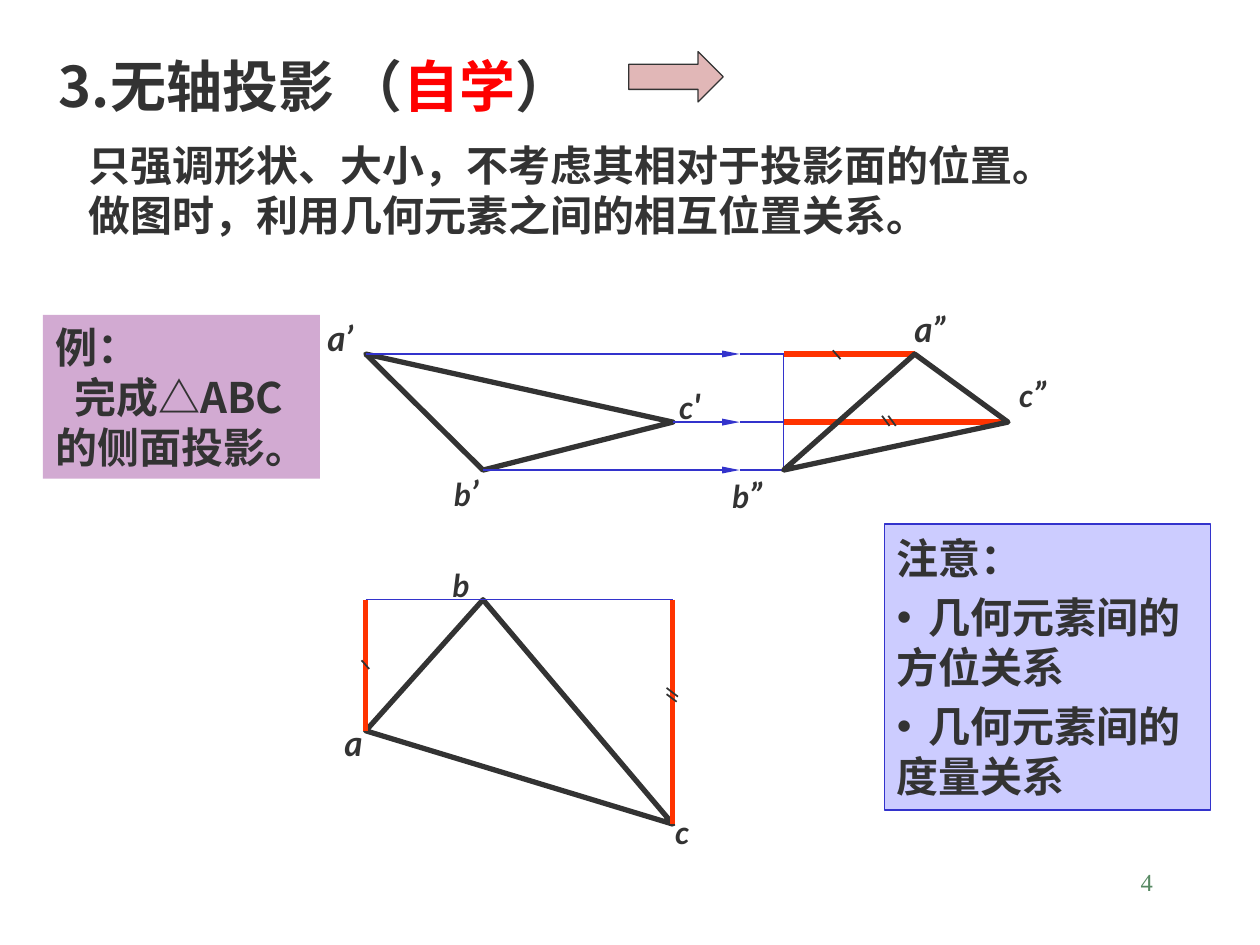
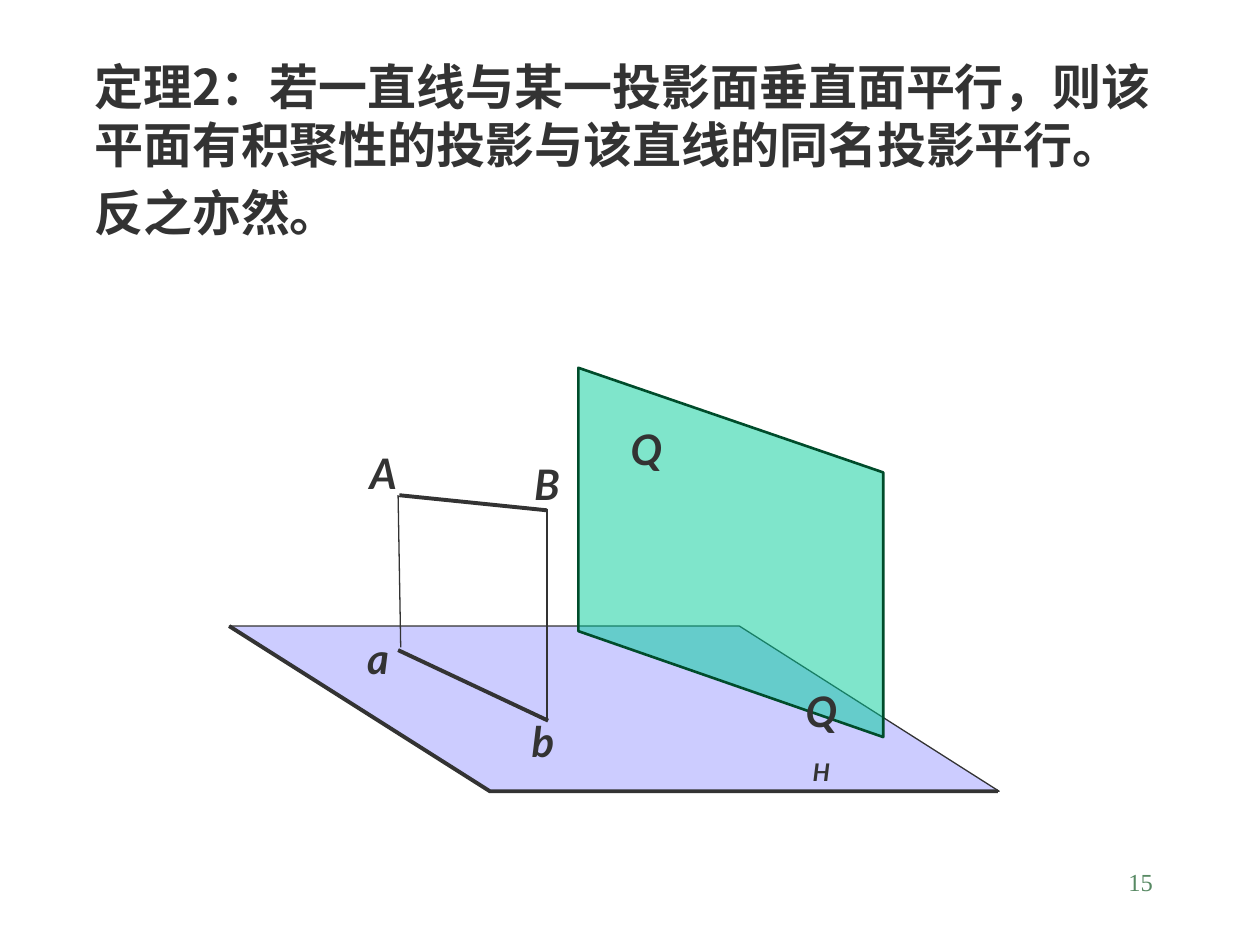
from lxml import etree
from pptx import Presentation
from pptx.dml.color import RGBColor
from pptx.enum import shapes, text
from pptx.oxml import ns
from pptx.util import Pt

# Shared look
INK, BLUE, RED, LILAC = "333333", "3333CC", "FF3300", "CCCCFF"
HAN, LATIN, SERIF = "Noto Sans CJK SC", "Lato", "Times New Roman"
LEAD = 1.19  # line pitch as a share of the text size
LEFT, MID, RIGHT = text.PP_ALIGN.LEFT, text.PP_ALIGN.CENTER, text.PP_ALIGN.RIGHT


def color(code):
    return RGBColor.from_string(code)


def child(node, tag, **attrs):
    return etree.SubElement(node, ns.qn(tag), attrs)


def style(run, size, tint=INK, face=HAN, bold=True, slant=False):
    font = run.font
    font.size, font.bold, font.italic = Pt(size), bold, slant
    font.color.rgb = color(tint)
    font.name = face
    child(run._r.get_or_add_rPr(), "a:ea", typeface=face)


def paint(shape, fill=None, line=None, width=0.75, alpha=None):
    shape.shadow.inherit = False
    if fill:
        shape.fill.solid()
        shape.fill.fore_color.rgb = color(fill)
        if alpha:
            tone = shape.fill._xPr.find(ns.qn("a:solidFill"))[0]
            child(tone, "a:alpha", val=str(alpha * 1000))
    else:
        shape.fill.background()
    if line:
        shape.line.color.rgb = color(line)
        shape.line.width = Pt(width)
    else:
        shape.line.fill.background()


def block(slide, kind, box, **look):
    shape = slide.shapes.add_shape(kind, *map(Pt, box))
    paint(shape, **look)
    return shape


def area(slide, box):
    return slide.shapes.add_textbox(*map(Pt, box))


def write(shape, paras, wrap=True):
    """Each paragraph is (runs, size, space before, indent, bullet)."""
    frame = shape.text_frame
    frame.word_wrap = wrap
    frame.vertical_anchor = text.MSO_ANCHOR.MIDDLE
    for i, (runs, size, gap, inset, bullet) in enumerate(paras):
        para = frame.add_paragraph() if i else frame.paragraphs[0]
        para.alignment = LEFT
        para.line_spacing = Pt(size * LEAD)
        if gap:
            para.space_before = Pt(gap)
        props = para._p.get_or_add_pPr()
        if inset:
            props.set("marL", str(Pt(inset)))
        if bullet:
            props.set("indent", str(-Pt(inset)))
            child(props, "a:buFont", typeface="Arial")
            child(props, "a:buChar", char="•")
        for words, tint in runs:
            run = para.add_run()
            run.text = words
            style(run, size, tint)


def plain(words, size=24, gap=0, inset=0, bullet=False):
    return [(words, INK)], size, gap, inset, bullet


def label(slide, x, y, parts, width=60, wrap=False):
    """Centre an italic label on a point; parts are (text, size, baseline)."""
    frame = area(slide, (x - width / 2, y - 18, width, 36)).text_frame
    frame.word_wrap = wrap
    frame.vertical_anchor = text.MSO_ANCHOR.MIDDLE
    para = frame.paragraphs[0]
    para.alignment = MID
    for words, size, base in parts:
        run = para.add_run()
        run.text = words
        style(run, size, face=LATIN, slant=True)
        if base:
            run._r.get_or_add_rPr().set("baseline", str(base * 1000))


def stroke(slide, start, end, tint=INK, width=0.75, head=False):
    line = slide.shapes.add_connector(
        shapes.MSO_CONNECTOR.STRAIGHT, *map(Pt, (*start, *end)))
    line.line.color.rgb = color(tint)
    line.line.width = Pt(width)
    if head:
        child(line.line._get_or_add_ln(), "a:tailEnd",
              type="triangle", w="sm", len="lg")
    child(line._element.spPr, "a:effectLst")


def outline(slide, points, close=True, **look):
    first, *rest = [(Pt(x), Pt(y)) for x, y in points]
    path = slide.shapes.build_freeform(*first)
    path.add_line_segments(rest, close=close)
    paint(path.convert_to_shape(), **look)


def number(slide, page):
    para = area(slide, (516, 492, 150, 36)).text_frame.paragraphs[0]
    para.text = page
    para.alignment = RIGHT
    style(para.runs[0], 14, "578963", SERIF, bold=False)


def views(slide):
    # Front view and top view share x; the side view takes its depths from the top
    ax, bx, cx = 209, 276, 384.5
    az, bz, cz = 202.3, 268.6, 241.2
    ay, by, cy = 417.6, 342.7, 470.9
    side, mid = 447.8, 422.6
    aw, cw = side + ay - by, side + cy - by

    # Triangles in front and top view
    outline(slide, [(bx, bz), (ax, az), (cx, cz)], line=INK, width=3)
    outline(slide, [(ax, ay), (bx, by), (cx, cy)], line=INK, width=3)

    # Projection lines
    stroke(slide, (ax, by), (cx, by), BLUE)
    for x, z, end in ((ax, az, aw), (cx, cz, cw), (bx, bz, side)):
        stroke(slide, (mid, z), (end, z), BLUE)
        stroke(slide, (x, z), (mid, z), BLUE, head=True)
    stroke(slide, (side, az), (side, bz), BLUE)

    # Equal depths
    for start, end in (((aw, az), (side, az)), ((cw, cz), (side, cz)),
                       ((ax, by), (ax, ay)), ((cx, by), (cx, cy))):
        stroke(slide, start, end, RED, 3)
    outline(slide, [(cw, cz), (aw, az), (side, bz)], line=INK, width=3)
    for x, y, dx, dy in ((206.6, 377.3, 4.4, 5), (475.9, 200.2, 4.4, 5),
                         (380.9, 393.1, 6.5, 5), (380.9, 396.7, 5.8, 4.3),
                         (504, 237.6, 4.3, 5.8), (507.6, 237.6, 4.3, 5.8)):
        stroke(slide, (x, y), (x + dx, y + dy), width=1)

    # Point names
    for x, y, name, mark in (
            (194.4, 192.6, "a", "’"), (266.4, 281.2, "b", "’"),
            (394.2, 231.5, "c", "'"), (531.4, 187.6, "a", "”"),
            (427, 282.6, "b", "”"), (590, 225, "c", "”"),
            (202, 424.4, "a", ""), (263.5, 334.1, "b", ""),
            (389.9, 475.2, "c", "")):
        parts = [(name, 20 if name == "a" else 18, 0)]
        if mark:
            parts.append((mark, 20, 0))
        label(slide, x, y, parts)


def axes(slide):
    number(slide, "4")
    title = [("3.无轴投影 （", INK), ("自学", "FF0000"), ("）", INK)]
    write(area(slide, (26.6, 25.2, 693.4, 116.6)), [
        (title, 32, 0, 0, False),
        plain("只强调形状、大小，不考虑其相对于投影面的位置。", gap=12, inset=17),
        plain("做图时，利用几何元素之间的相互位置关系。", inset=17)])
    views(slide)

    # Coloured notes
    box = shapes.MSO_SHAPE.RECTANGLE
    note = block(slide, box, (505.4, 299.5, 186.5, 163.4), fill=LILAC, line=BLUE)
    lines = [plain("注意：")]
    for kind in ("方位关系", "度量关系"):
        lines += [plain("几何元素间的", gap=5, inset=18, bullet=True), plain(kind)]
    write(note, lines)
    task = block(slide, box, (24.5, 180, 158.4, 93.6), fill="D2AAD2")
    write(task, [plain("例："), plain("完成△ABC", inset=11),
                 plain("的侧面投影。")], wrap=False)
    block(slide, shapes.MSO_SHAPE.RIGHT_ARROW, (359.3, 29.5, 54, 28.8),
          fill="E1B7B7", line=INK)


def theorem(slide):
    number(slide, "15")
    write(area(slide, (46.8, 27.4, 623.5, 115.9)), [
        plain("定理2：若一直线与某一投影面垂直面平行，则该平面有积聚性的投影"
              "与该直线的同名投影平行。", 28),
        plain("反之亦然。", 28, gap=5.6)])

    # Ground plane with its heavy front edge
    back, front = (131, 357.8), (280, 452.2)
    outline(slide, [back, (422.6, 357.8), (571, 452.2), front],
            fill=LILAC, line=INK)
    outline(slide, [back, front, (570.2, 452.2)], close=False,
            line=INK, width=2.25)

    # Vertical plane Q
    outline(slide, [(330.5, 360.7), (504.7, 421.2), (504.7, 270), (330.5, 210.2)],
            fill="00CC99", alpha=50, line="004C2B", width=1.5)

    # Line AB and its projection ab
    for start, end, width in (((228.2, 283), (312.5, 291.6), 2.25),
                              ((227.5, 371.5), (313.2, 411.8), 2.25),
                              ((227.5, 283), (229, 370), 0.75),
                              ((312.5, 291), (312.5, 411.8), 0.75)):
        stroke(slide, start, end, width=width)
    for x, y, name in ((219, 270, "A"), (312.5, 276.5, "B"), (216, 375.8, "a"),
                       (310.3, 423.4, "b"), (369.4, 256.3, "Q")):
        label(slide, x, y, [(name, 24, 0)])
    label(slide, 469.4, 420.5, [("Q", 24, 0), ("H", 24, -10)], 36, True)


def main():
    deck = Presentation()
    deck.slide_width, deck.slide_height = Pt(720), Pt(540)
    for build in (axes, theorem):
        build(deck.slides.add_slide(deck.slide_layouts[6]))
    deck.save("out.pptx")


if __name__ == "__main__":
    main()
